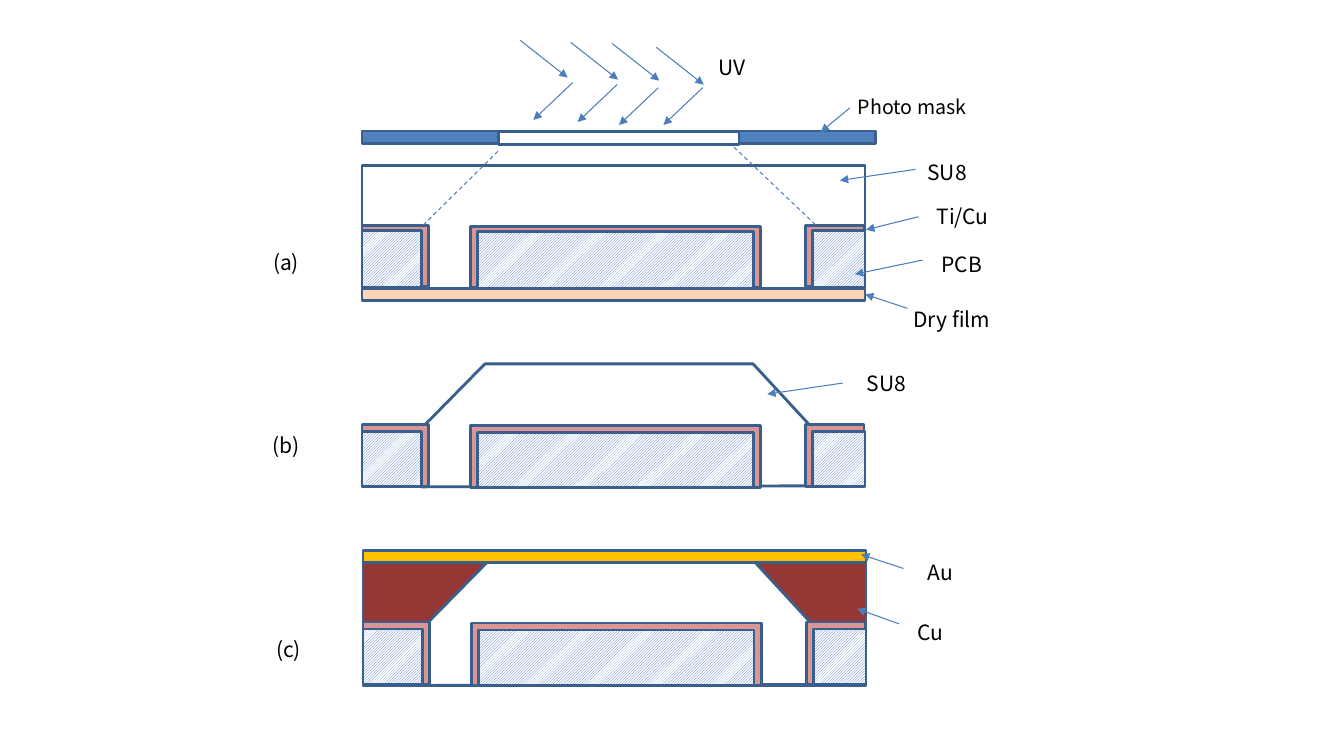
from dataclasses import dataclass
from pptx import Presentation
from pptx.dml.color import RGBColor
from pptx.enum.dml import MSO_LINE, MSO_PATTERN
from pptx.enum.shapes import MSO_CONNECTOR, MSO_SHAPE
from pptx.oxml.ns import qn
from pptx.util import Inches, Pt
from lxml import etree

RECTANGLE = MSO_SHAPE.RECTANGLE
STRAIGHT = MSO_CONNECTOR.STRAIGHT
DASH = MSO_LINE.DASH
HATCH = MSO_PATTERN.LIGHT_UPWARD_DIAGONAL


@dataclass(frozen=True)
class Theme:
    font: str = "Noto Sans CJK KR"
    label_size: int = 15
    mask_label_size: int = 14
    outline_width: float = 2
    arrow_width: float = 0.75
    text: str = "000000"
    outline: str = "3A5F8C"
    arrow: str = "4B7EBC"
    white: str = "FFFFFF"
    dry_film: str = "FCD5B5"
    mask: str = "4F81BD"
    seed: str = "D99694"
    hatch: str = "4472C4"
    copper: str = "953735"
    gold: str = "FFC000"


theme = Theme()
color = RGBColor.from_string
presentation = Presentation()
presentation.slide_width = Inches(13.33)
presentation.slide_height = Inches(7.5)
slide = presentation.slides.add_slide(presentation.slide_layouts[6])
shapes = slide.shapes


def style(shape, fill, hatched=False):
    """Outline a layer and fill it plainly or with the PCB hatching."""
    shape.shadow.inherit = False
    if hatched:
        shape.fill.patterned()
        shape.fill.pattern = HATCH
        shape.fill.fore_color.rgb = color(fill)
        shape.fill.back_color.rgb = color(theme.white)
    else:
        shape.fill.solid()
        shape.fill.fore_color.rgb = color(fill)
    shape.line.color.rgb = color(theme.outline)
    shape.line.width = Pt(theme.outline_width)


def add_layer(left, top, width, height, fill, hatched=False):
    box = [Inches(value) for value in (left, top, width, height)]
    style(shapes.add_shape(RECTANGLE, *box), fill, hatched)


# (a) exposure: resist, dry film, mask and its window
add_layer(3.59, 1.64, 4.99, 1.22, theme.white)
add_layer(3.59, 2.86, 4.99, 0.12, theme.dry_film)
add_layer(3.59, 1.30, 5.09, 0.12, theme.mask)
add_layer(4.94, 1.31, 2.39, 0.12, theme.white)

# (c) plated copper
add_layer(3.60, 5.58, 4.99, 1.22, theme.copper)

# (b), (c) developed resist
resist_outline = [(0, 0.65), (0.64, 0), (3.30, 0), (3.90, 0.65), (3.88, 1.21), (0.01, 1.22)]
for left, top in [(4.17, 3.61), (4.19, 5.58)]:
    points = [(Inches(left + x), Inches(top + y)) for x, y in resist_outline]
    builder = shapes.build_freeform(*points[0])
    builder.add_line_segments(points[1:], close=True)
    style(builder.convert_to_shape(), theme.white)

# Metal-coated PCB blocks of each stage
# seed offset x, y, width; PCB inset, width
blocks = [(0, 0, 0.66, 0, 0.59), (4.40, 0, 0.58, 0.07, 0.52), (1.08, 0.01, 2.87, 0.07, 2.73)]
# left, top, seed height, seed thickness, PCB height
stages = [(3.59, 2.24, 0.60, 0.05, 0.56), (3.59, 4.21, 0.62, 0.07, 0.55), (3.60, 6.17, 0.62, 0.07, 0.55)]
for left, top, seed_height, seed_thickness, pcb_height in stages:
    for x, y, seed_width, inset, pcb_width in blocks:
        add_layer(left + x, top + y, seed_width, seed_height, theme.seed)
        add_layer(left + x + inset, top + y + seed_thickness, pcb_width, pcb_height, theme.hatch, True)

add_layer(3.60, 5.46, 4.99, 0.12, theme.gold)

# UV rays, light cone and label pointers: start x, y, end x, y
incoming_rays = [(x, y, x + 0.47, y + 0.37) for x, y in [(5.16, 0.40), (5.66, 0.42), (6.07, 0.43), (6.51, 0.47)]]
deflected_rays = [(x, y, x - 0.39, y + 0.37) for x, y in [(5.68, 0.82), (6.12, 0.84), (6.53, 0.87), (6.97, 0.87)]]
light_cone = [(4.94, 1.50, 4.18, 2.25), (7.28, 1.46, 8.11, 2.25)]
pointers = [
    (8.43, 1.07, 8.14, 1.31),
    (9.08, 1.68, 8.33, 1.79),
    (9.11, 2.15, 8.59, 2.28),
    (9.15, 2.58, 8.48, 2.72),
    (9.00, 3.06, 8.58, 2.92),
    (8.36, 3.80, 7.61, 3.91),
    (8.96, 5.64, 8.54, 5.50),
    (8.92, 6.19, 8.50, 6.04),
]
for ends in incoming_rays + deflected_rays + light_cone + pointers:
    connector = shapes.add_connector(STRAIGHT, *[Inches(value) for value in ends])
    connector.line.color.rgb = color(theme.arrow)
    connector.line.width = Pt(theme.arrow_width)
    if ends in light_cone:
        connector.line.dash_style = DASH
    else:
        etree.SubElement(connector.line._get_or_add_ln(), qn("a:tailEnd"), type="triangle")
    etree.SubElement(connector._element.spPr, qn("a:effectLst"))

# Labels: text, left, top, width
labels = [
    ("UV", 7.03, 0.49, 1.70),
    ("Photo mask", 8.41, 0.89, 2.39),
    ("SU8", 9.10, 1.53, 1.70),
    ("Ti/Cu", 9.19, 1.97, 1.70),
    ("PCB", 9.24, 2.45, 1.35),
    ("Dry film", 8.96, 2.99, 1.84),
    ("SU8", 8.50, 3.63, 1.70),
    ("Au", 9.10, 5.50, 1.84),
    ("Cu", 9.00, 6.10, 1.84),
    ("(a)", 2.61, 2.43, 1.84),
    ("(b)", 2.60, 4.24, 1.84),
    ("(c)", 2.64, 6.27, 1.84),
]
for text, left, top, width in labels:
    label = shapes.add_textbox(Inches(left), Inches(top), Inches(width), Inches(0.35))
    label.text_frame.word_wrap = True
    paragraph = label.text_frame.paragraphs[0]
    paragraph.text = text
    paragraph.font.name = theme.font
    paragraph.font.size = Pt(theme.mask_label_size if text == "Photo mask" else theme.label_size)
    paragraph.font.color.rgb = color(theme.text)

presentation.save("out.pptx")
